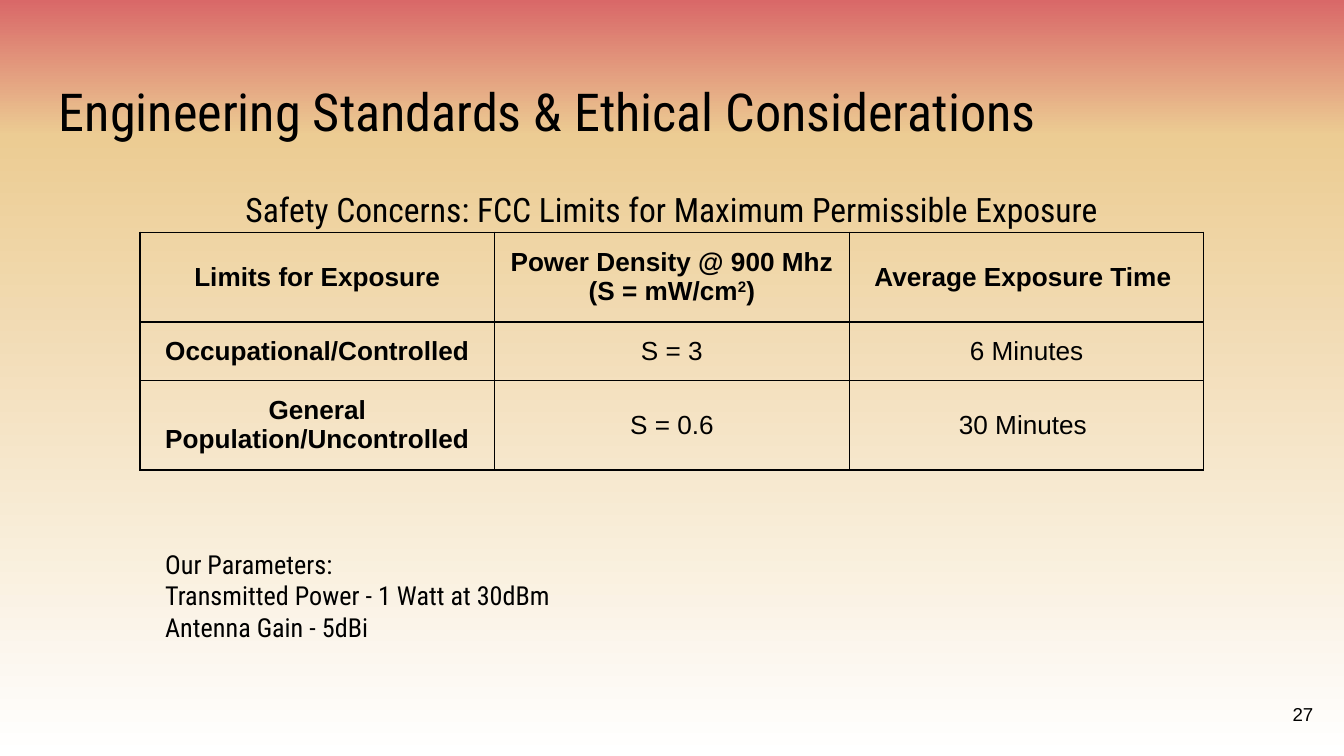
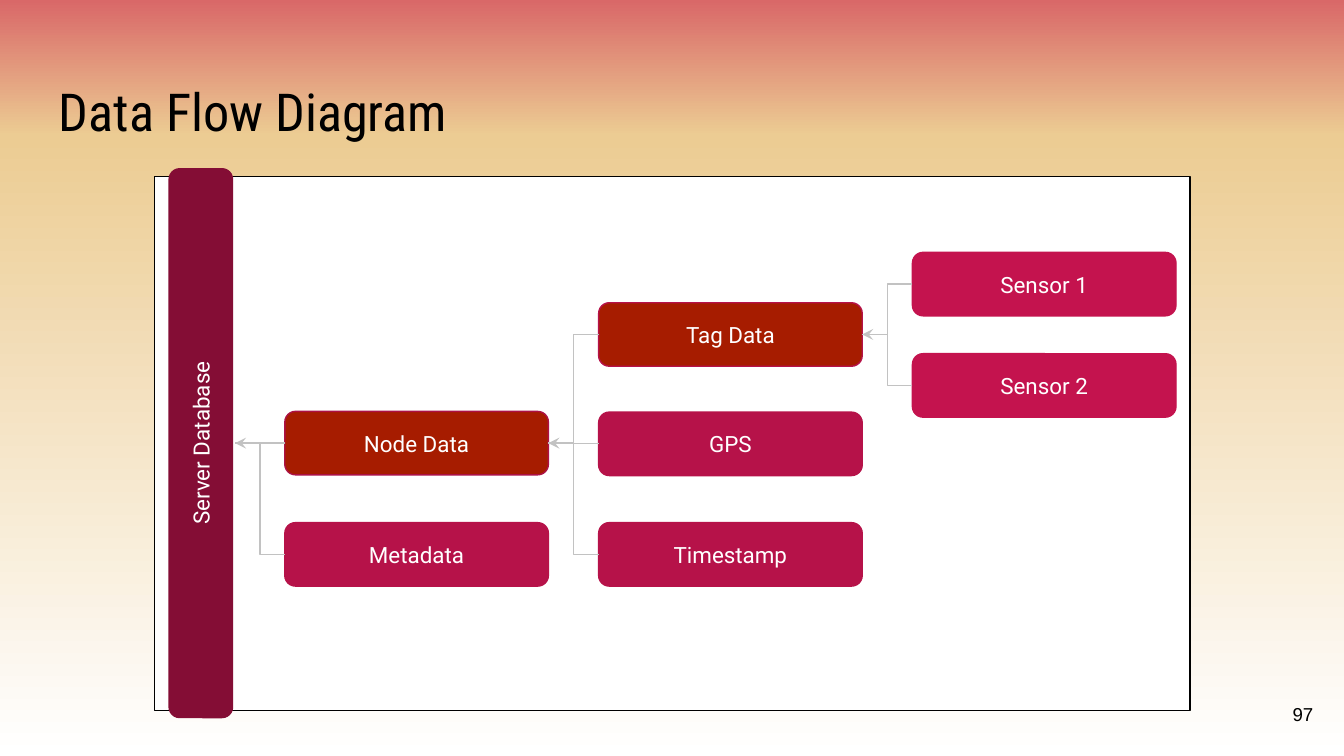
from copy import deepcopy
from dataclasses import dataclass

from lxml.etree import SubElement
from pptx import Presentation
from pptx.dml.color import RGBColor
from pptx.enum.shapes import MSO_CONNECTOR, MSO_SHAPE
from pptx.enum.text import MSO_ANCHOR, PP_ALIGN
from pptx.oxml.ns import qn
from pptx.presentation import Presentation as Deck
from pptx.shapes.autoshape import Shape
from pptx.slide import Slide
from pptx.table import _Cell as Cell
from pptx.text.text import TextFrame
from pptx.util import Pt

# Colours
BLACK = RGBColor(0x00, 0x00, 0x00)
WHITE = RGBColor(0xFF, 0xFF, 0xFF)
CORAL = RGBColor(0xD9, 0x68, 0x68)
SAND = RGBColor(0xEC, 0xCC, 0x93)
MAROON = RGBColor(0x84, 0x0D, 0x35)
RUST = RGBColor(0xA6, 0x1C, 0x00)
PLUM = RGBColor(0xAC, 0x11, 0x45)
CRIMSON = RGBColor(0xB6, 0x12, 0x49)
ROSE = RGBColor(0xC4, 0x13, 0x4E)
GREY = RGBColor(0xC2, 0xC2, 0xC2)

BACKDROP = [(0, CORAL), (0.18, SAND), (1, WHITE)]
INSET = Pt(7.2)
HAIRLINE = Pt(0.75)


@dataclass(frozen=True)
class Style:
    font: str
    size: float
    color: RGBColor = BLACK
    align: PP_ALIGN = PP_ALIGN.LEFT
    anchor: MSO_ANCHOR = MSO_ANCHOR.TOP
    spacing: float = 1.0
    bold: bool = False


@dataclass(frozen=True)
class Area:
    left: float
    top: float
    width: float
    height: float


@dataclass(frozen=True)
class Node:
    label: str
    column: int
    center: float
    fill: RGBColor
    line: RGBColor

    @property
    def left(self) -> float:
        return COLUMN_LEFT + self.column * COLUMN_STEP

    @property
    def right(self) -> float:
        return self.left + NODE_WIDTH


@dataclass(frozen=True)
class Flow:
    source: Node
    target_right: float
    target_center: float
    arrow: bool = False


# Text styles
TITLE = Style("Roboto Condensed", 28)
SUBTITLE = Style("Roboto Condensed", 18, align=PP_ALIGN.CENTER, spacing=1.15)
NOTE = Style("Roboto Condensed", 14)
PAGE = Style("Arial", 10, align=PP_ALIGN.RIGHT, anchor=MSO_ANCHOR.MIDDLE)
VALUE = Style("Arial", 14, align=PP_ALIGN.CENTER)
HEADING = Style("Arial", 14, align=PP_ALIGN.CENTER, bold=True)
NODE_LABEL = Style("Roboto", 12, WHITE, PP_ALIGN.CENTER, MSO_ANCHOR.MIDDLE)

# Shared areas
TITLE_AREA = Area(24.5, 35.3, 671, 45.4)
PAGE_AREA = Area(667.4, 367.2, 43.2, 31)

# Exposure table: a cell holds paragraphs, a "^" marks a superscript run
LIMITS = [
    [[["Limits for Exposure"]],
     [["Power Density @ 900 Mhz"], ["(S = mW/cm", "^2", ")"]],
     [["Average Exposure Time "]]],
    [[["Occupational/Controlled"]], [["S = 3"]], [["6 Minutes"]]],
    [[["General Population/Uncontrolled"]], [["S = 0.6"]], [["30 Minutes "]]],
]
COLUMN_WIDTH, ROW_HEIGHT = 190, 30.2
LIMITS_LEFT, LIMITS_TOP = 75, 124.4

PARAMETERS = [
    ["Our Parameters:"],
    ["Transmitted Power - 1 Watt at 30dBm"],
    ["Antenna Gain - 5dBi"],
]

# Data flow grid
COLUMN_LEFT, COLUMN_STEP = 152.6, 168.1
NODE_WIDTH, NODE_HEIGHT = 141.2, 34
MIDDLE = 237.4
SERVER_LENGTH, SERVER_CENTER, SERVER_RIGHT = 294, 107.6, 126
PANEL = Area(82.8, 94.4, 554.8, 286.2)

NODE_DATA = Node("Node Data", 0, MIDDLE, RUST, PLUM)
METADATA = Node("Metadata", 0, 297, CRIMSON, CRIMSON)
TAG_DATA = Node("Tag Data", 1, 179.2, RUST, CRIMSON)
GPS = Node("GPS", 1, MIDDLE + 0.4, CRIMSON, CRIMSON)
TIMESTAMP = Node("Timestamp", 1, 297, CRIMSON, CRIMSON)
SENSOR_1 = Node("Sensor 1", 2, 152.2, ROSE, ROSE)
SENSOR_2 = Node("Sensor 2", 2, 206.5, ROSE, ROSE)
NODES = [NODE_DATA, METADATA, TAG_DATA, GPS, TIMESTAMP, SENSOR_1, SENSOR_2]

FLOWS = [
    Flow(NODE_DATA, SERVER_RIGHT, MIDDLE, arrow=True),
    Flow(METADATA, SERVER_RIGHT, MIDDLE),
    Flow(TAG_DATA, NODE_DATA.right, MIDDLE, arrow=True),
    Flow(GPS, NODE_DATA.right, MIDDLE),
    Flow(TIMESTAMP, NODE_DATA.right, MIDDLE),
    Flow(SENSOR_1, TAG_DATA.right, TAG_DATA.center),
    Flow(SENSOR_2, TAG_DATA.right, TAG_DATA.center, arrow=True),
]


def set_margins(holder: TextFrame | Cell) -> None:
    holder.margin_left = holder.margin_right = INSET
    holder.margin_top = holder.margin_bottom = INSET


def write(frame: TextFrame, lines: list[list[str]], style: Style) -> None:
    for index, pieces in enumerate(lines):
        paragraph = frame.add_paragraph() if index else frame.paragraphs[0]
        paragraph.alignment = style.align
        paragraph.line_spacing = style.spacing
        for piece in pieces:
            run = paragraph.add_run()
            run.text = piece.removeprefix("^")
            run.font.name = style.font
            run.font.size = Pt(style.size)
            run.font.bold = style.bold
            run.font.color.rgb = style.color
            if piece.startswith("^"):
                run._r.get_or_add_rPr().set("baseline", "30000")


def fill_frame(frame: TextFrame, lines: list[list[str]], style: Style) -> None:
    frame.word_wrap = True
    frame.vertical_anchor = style.anchor
    set_margins(frame)
    write(frame, lines, style)


def add_text(slide: Slide, area: Area, lines: list[list[str]], style: Style) -> None:
    box = slide.shapes.add_textbox(
        Pt(area.left), Pt(area.top), Pt(area.width), Pt(area.height))
    fill_frame(box.text_frame, lines, style)


def add_block(slide: Slide, kind: MSO_SHAPE, area: Area,
              fill: RGBColor, line: RGBColor, label: str = "") -> Shape:
    block = slide.shapes.add_shape(
        kind, Pt(area.left), Pt(area.top), Pt(area.width), Pt(area.height))
    block.shadow.inherit = False
    block.fill.solid()
    block.fill.fore_color.rgb = fill
    block.line.color.rgb = line
    block.line.width = HAIRLINE
    if label:
        fill_frame(block.text_frame, [[label]], NODE_LABEL)
    return block


def add_flow(slide: Slide, flow: Flow) -> None:
    link = slide.shapes.add_connector(
        MSO_CONNECTOR.ELBOW, Pt(flow.source.left), Pt(flow.source.center),
        Pt(flow.target_right), Pt(flow.target_center))
    link.line.color.rgb = GREY
    link.line.width = HAIRLINE
    properties = link._element.spPr
    if flow.arrow:
        SubElement(properties.find(qn("a:ln")), qn("a:tailEnd"), type="stealth")
    SubElement(properties, qn("a:effectLst"))


def outline_cell(cell: Cell) -> None:
    properties = cell._tc.get_or_add_tcPr()
    for side in ("a:lnL", "a:lnR", "a:lnT", "a:lnB"):
        border = SubElement(properties, qn(side), w=str(HAIRLINE))
        solid = SubElement(border, qn("a:solidFill"))
        SubElement(solid, qn("a:srgbClr"), val=str(BLACK))
    cell.fill.background()


def add_limits(slide: Slide) -> None:
    rows, columns = len(LIMITS), len(LIMITS[0])
    table = slide.shapes.add_table(
        rows, columns, Pt(LIMITS_LEFT), Pt(LIMITS_TOP),
        Pt(columns * COLUMN_WIDTH), Pt(rows * ROW_HEIGHT)).table
    table.first_row = table.horz_banding = False
    for r, row in enumerate(LIMITS):
        for c, lines in enumerate(row):
            cell = table.cell(r, c)
            cell.vertical_anchor = MSO_ANCHOR.MIDDLE
            set_margins(cell)
            outline_cell(cell)
            write(cell.text_frame, lines, VALUE if r and c else HEADING)


def paint_backdrop(deck: Deck) -> None:
    master = deck.slide_master
    fill = master.background.fill
    fill.gradient()
    fill.gradient_angle = 270
    stops = master._element.find(".//" + qn("a:gsLst"))
    stops.insert(1, deepcopy(stops[0]))
    for stop, (position, color) in zip(fill.gradient_stops, BACKDROP):
        stop.position = position
        stop.color.rgb = color


def add_slide(deck: Deck, title: str, page: str) -> Slide:
    slide = deck.slides.add_slide(deck.slide_layouts[6])
    add_text(slide, TITLE_AREA, [[title]], TITLE)
    add_text(slide, PAGE_AREA, [[page]], PAGE)
    return slide


def build_standards(deck: Deck) -> None:
    slide = add_slide(deck, "Engineering Standards & Ethical Considerations", "27")
    add_text(slide, Area(24.5, 90.7, 671, 269.3),
             [["Safety Concerns: FCC Limits for Maximum Permissible Exposure"]],
             SUBTITLE)
    add_limits(slide)
    add_text(slide, Area(81.4, 286.6, 563.8, 95.8), PARAMETERS, NOTE)


def build_data_flow(deck: Deck) -> None:
    slide = add_slide(deck, "Data Flow Diagram", "97")
    add_block(slide, MSO_SHAPE.RECTANGLE, PANEL, WHITE, BLACK)

    # Server bar, turned to read upwards
    server_area = Area(SERVER_CENTER - SERVER_LENGTH / 2, MIDDLE - NODE_HEIGHT / 2,
                       SERVER_LENGTH, NODE_HEIGHT)
    server = add_block(slide, MSO_SHAPE.ROUNDED_RECTANGLE, server_area,
                       MAROON, MAROON, "Server Database")
    server.rotation = 270

    # Data nodes and their links
    for node in NODES:
        area = Area(node.left, node.center - NODE_HEIGHT / 2, NODE_WIDTH, NODE_HEIGHT)
        add_block(slide, MSO_SHAPE.ROUNDED_RECTANGLE, area,
                  node.fill, node.line, node.label)
    for flow in FLOWS:
        add_flow(slide, flow)


def main() -> None:
    deck = Presentation()
    deck.slide_width, deck.slide_height = Pt(720), Pt(405)
    paint_backdrop(deck)
    build_standards(deck)
    build_data_flow(deck)
    deck.save("out.pptx")


if __name__ == "__main__":
    main()
